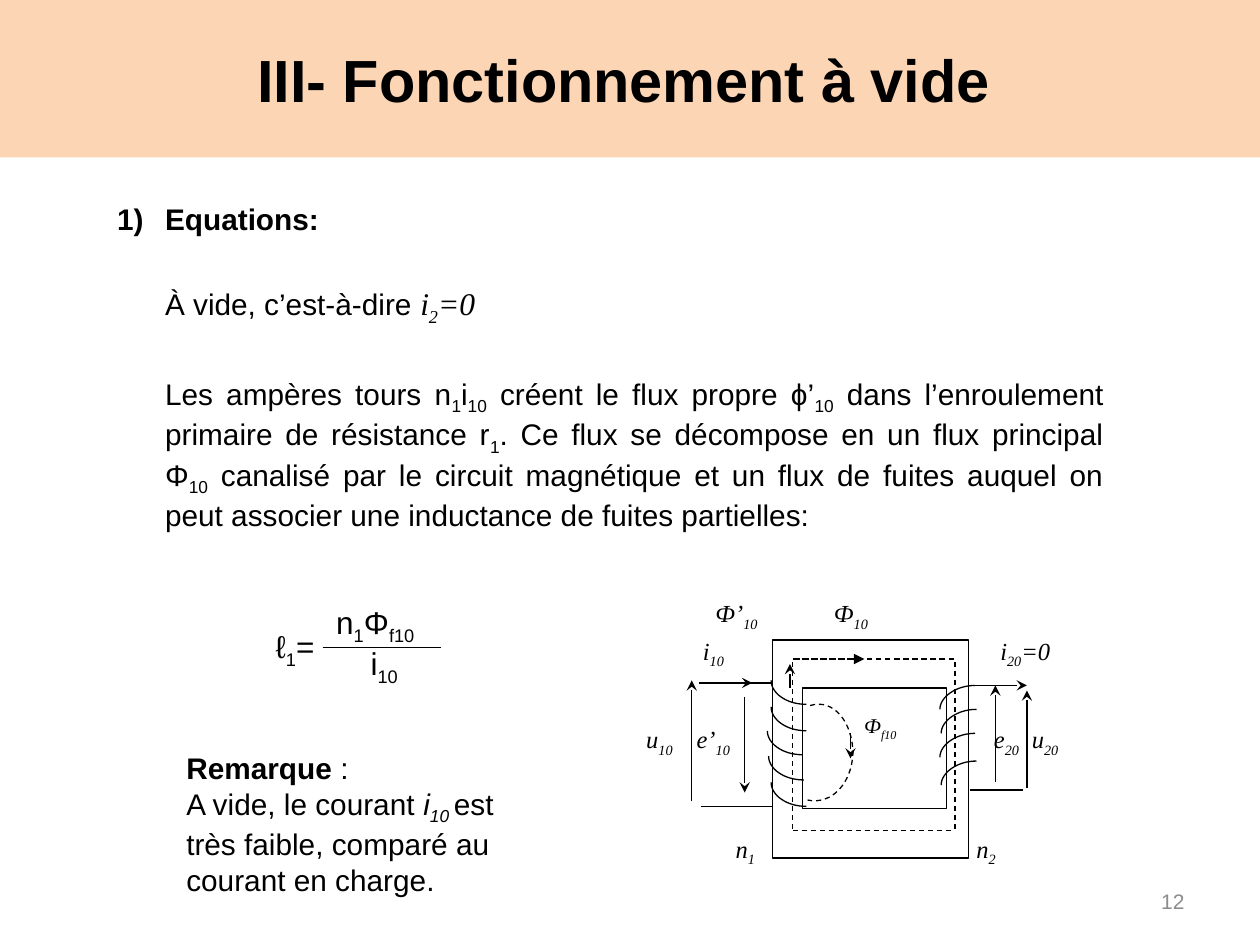
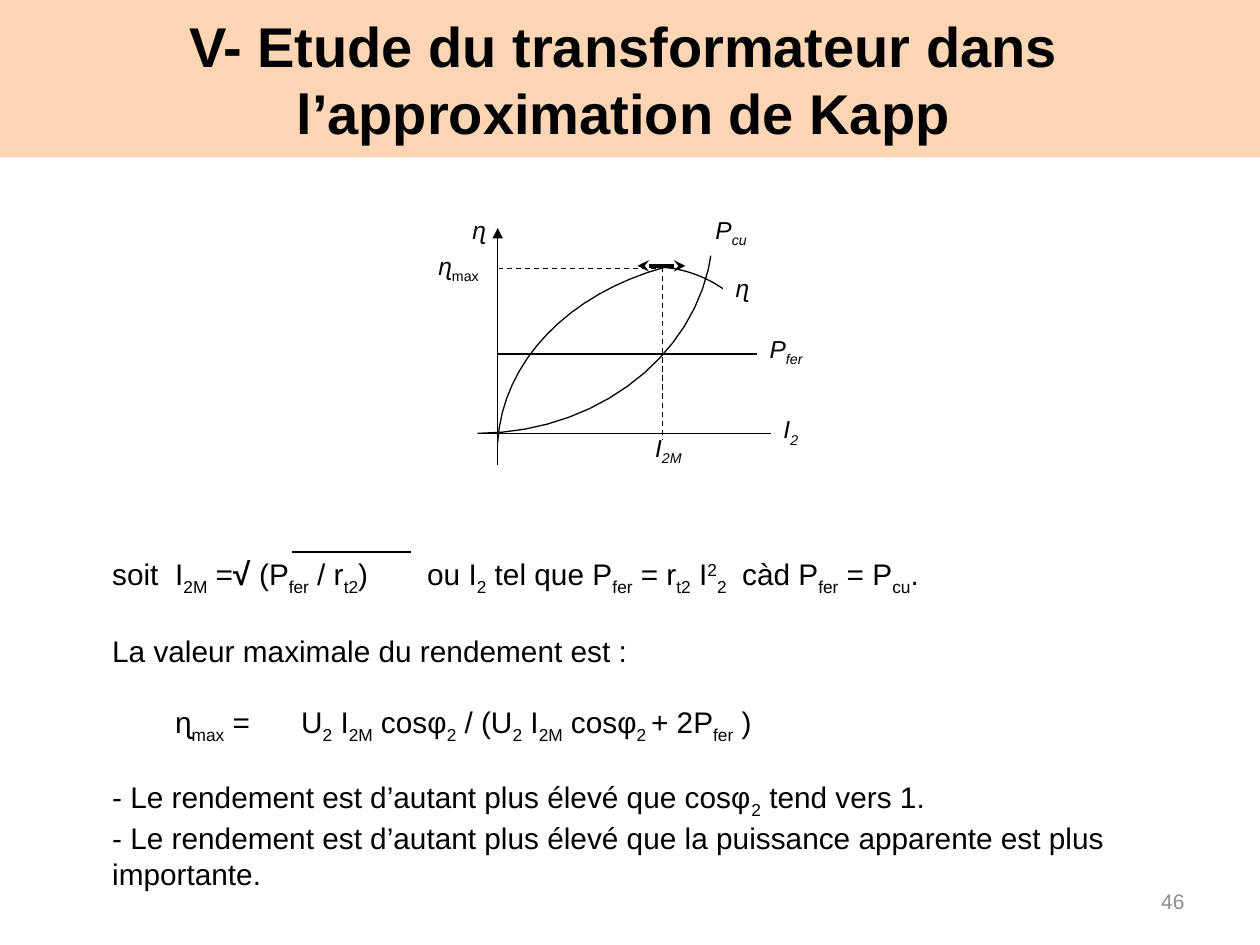
from lxml.etree import SubElement
from pptx import Presentation
from pptx.dml.color import RGBColor
from pptx.enum.dml import MSO_LINE
from pptx.enum.shapes import MSO_CONNECTOR, MSO_SHAPE
from pptx.enum.text import MSO_ANCHOR, MSO_AUTO_SIZE, PP_ALIGN
from pptx.oxml.ns import qn
from pptx.util import Inches, Pt

BLACK = RGBColor(0x00, 0x00, 0x00)
WHITE = RGBColor(0xFF, 0xFF, 0xFF)
PEACH = RGBColor(0xFC, 0xD5, 0xB5)
GREY = RGBColor(0x8C, 0x8C, 0x8C)
SANS, SERIF = "Arial", "Times New Roman"


def write(para, markup, size=17, font=SANS, italic=False):
    """Every second piece between underscores is special: ^superscript, *bold, else subscript."""
    for index, piece in enumerate(markup.split("_")):
        if not piece:
            continue
        span = para.add_run()
        span.text = piece.lstrip("^*") if index % 2 else piece
        span.font.size = Pt(size)
        span.font.name = font
        span.font.italic = italic
        span.font.color.rgb = BLACK
        if index % 2 and piece[0] == "*":
            span.font.bold = True
        elif index % 2:
            baseline = "30000" if piece[0] == "^" else "-25000"
            span.font._element.set("baseline", baseline)


def stroke(page, points, width=0.75, dash=False, head=None, tail=None):
    """Two points give a straight line; four or more give a chain of Bezier curves."""
    if len(points) == 2:
        (x1, y1), (x2, y2) = points
        shape = page.shapes.add_connector(
            MSO_CONNECTOR.STRAIGHT, Inches(x1), Inches(y1), Inches(x2), Inches(y2))
    else:
        steps = 16
        trail = []
        for k in range(0, len(points) - 1, 3):
            a, b, c, d = points[k:k + 4]
            for t in [n / steps for n in range(1, steps + 1)]:
                trail.append(tuple(
                    Inches((1 - t) ** 3 * a[i] + 3 * t * (1 - t) ** 2 * b[i]
                           + 3 * t * t * (1 - t) * c[i] + t ** 3 * d[i]) for i in (0, 1)))
        builder = page.shapes.build_freeform(Inches(points[0][0]), Inches(points[0][1]))
        builder.add_line_segments(trail, close=False)
        shape = builder.convert_to_shape()
        shape.fill.background()
    shape.line.color.rgb = BLACK
    shape.line.width = Pt(width)
    if dash:
        shape.line.dash_style = MSO_LINE.DASH
    properties = shape.element.spPr
    outline = properties.find(qn("a:ln"))
    for tag, kind in (("a:headEnd", head), ("a:tailEnd", tail)):
        if kind:
            SubElement(outline, qn(tag)).set("type", kind)
    SubElement(properties, qn("a:effectLst"))


deck = Presentation()
deck.slide_width, deck.slide_height = Inches(10), Inches(7.5)

# Shared frame: title band, body area, page number
pages, bodies = [], []
for title_text, title_size, number, left, top, width, height in [
    ("III- Fonctionnement à vide", 34, "12", 0.83, 1.54, 8.03, 3),
    ("V- Etude du transformateur dans\vl’approximation de Kapp", 32, "46", 0.79, 4.35, 8.17, 2.9),
]:
    page = deck.slides.add_slide(deck.slide_layouts[1])
    title, body = page.placeholders[0], page.placeholders[1]
    title.left, title.top, title.width, title.height = 0, 0, Inches(10), Inches(1.25)
    title.fill.solid()
    title.fill.fore_color.rgb = PEACH
    title.text_frame.text = title_text
    title.text_frame.auto_size = MSO_AUTO_SIZE.NONE
    title.text_frame.vertical_anchor = MSO_ANCHOR.MIDDLE
    title.text_frame.margin_right = Inches(0.2)
    para = title.text_frame.paragraphs[0]
    para.alignment = PP_ALIGN.CENTER
    for span in para.runs:
        span.font.size, span.font.name, span.font.bold = Pt(title_size), SANS, True
        span.font.color.rgb = BLACK

    body.left, body.top = Inches(left), Inches(top)
    body.width, body.height = Inches(width), Inches(height)
    body.text_frame.auto_size = MSO_AUTO_SIZE.NONE

    box = page.shapes.add_textbox(Inches(7.17), Inches(6.95), Inches(2.33), Inches(0.4))
    box.text_frame.vertical_anchor = MSO_ANCHOR.MIDDLE
    para = box.text_frame.paragraphs[0]
    para.alignment = PP_ALIGN.RIGHT
    write(para, number, 12)
    para.runs[0].font.color.rgb = GREY
    pages.append(page)
    bodies.append(body.text_frame)

no_load, kapp = pages

# Body text: markup, space before, left margin, first-line indent, tab stops
no_load_text = [
    ("_*Equations:_", 0, 0.38, -0.38, []),
    ("À vide, c’est-à-dire i_2_=0", 27.5, 0.38, 0, []),
    ("Les ampères tours n_1_i_10_ créent le flux propre ϕ’_10_ dans l’enroulement primaire de "
     "résistance r_1_. Ce flux se décompose en un flux principal Φ_10_ canalisé par le circuit "
     "magnétique et un flux de fuites auquel on peut associer une inductance de fuites partielles:",
     27.5, 0.38, 0, []),
]
kapp_text = [
    ("soit\tI_2M_ =_*√ _(P_fer_ / r_t2_)\tou I_2_ tel que P_fer_ = r_t2_ I_^2__2_\tcàd P_fer_ = P_cu_.",
     0, 0, 0, [0.83, 2.55, 5.08]),
    ("La valeur maximale du rendement est :", 20.5, 0, 0, []),
    ("\tɳ_max_ =\tU_2_ I_2M_ cosφ_2_ / (U_2_ I_2M_ cosφ_2 _+ 2P_fer_ )", 20.5, 0, 0, [1, 1.73]),
    ("- Le rendement est d’autant plus élevé que cosφ_2_ tend vers 1.", 19.5, 0, 0, []),
    ("- Le rendement est d’autant plus élevé que la puissance apparente est plus importante.",
     0, 0, 0, []),
]
for frame, lines in zip(bodies, (no_load_text, kapp_text)):
    for index, (markup, before, margin, indent, tabs) in enumerate(lines):
        para = frame.add_paragraph() if index else frame.paragraphs[0]
        properties = para._p.get_or_add_pPr()
        properties.set("marL", str(Inches(margin)))
        properties.set("indent", str(Inches(indent)))
        if indent:
            SubElement(properties, qn("a:buFont")).set("typeface", "+mj-lt")
            SubElement(properties, qn("a:buAutoNum")).set("type", "arabicParenR")
        else:
            SubElement(properties, qn("a:buNone"))
        if tabs:
            tab_list = SubElement(properties, qn("a:tabLst"))
            for position in tabs:
                tab = SubElement(tab_list, qn("a:tab"))
                tab.set("pos", str(Inches(position)))
                tab.set("algn", "l")
        para.space_before = Pt(before)
        para.alignment = PP_ALIGN.JUSTIFY if frame is bodies[0] else PP_ALIGN.LEFT
        write(para, markup)

# Serif formula "i2=0" and the larger root sign
span = bodies[0].paragraphs[1].runs[0]
span.text = span.text[:-1]
para = bodies[0].paragraphs[1]
subscript_and_rest = para.runs[1:]
first_letter = para.add_run()
first_letter.text = "i"
subscript_and_rest[0]._r.addprevious(first_letter._r)
for span in para.runs[1:]:
    span.font.size, span.font.name, span.font.italic = Pt(18), SERIF, True
    span.font.color.rgb = BLACK
for span in bodies[1].paragraphs[0].runs:
    if span.font.bold:
        span.font.size = Pt(18)

# Leakage inductance fraction
stroke(no_load, [(2.56, 5.14), (3.5, 5.14)])
for left, top, width, markup, align in [
    (2.57, 4.74, 1.2, "n_1_Φ_f10_", PP_ALIGN.LEFT),
    (2.45, 5.06, 1.2, "i_10_", PP_ALIGN.CENTER),
    (2.09, 4.93, 0.6, "ℓ_1_=", PP_ALIGN.LEFT),
]:
    box = no_load.shapes.add_textbox(Inches(left), Inches(top), Inches(width), Inches(0.4))
    para = box.text_frame.paragraphs[0]
    para.alignment = align
    write(para, markup, 18)

# Remark
box = no_load.shapes.add_textbox(Inches(1.38), Inches(5.9), Inches(2.91), Inches(1.25))
box.text_frame.word_wrap = True
write(box.text_frame.paragraphs[0], "_*Remarque_ :")
para = box.text_frame.add_paragraph()
write(para, "A vide, le courant ")
write(para, "i_10 _", italic=True)
write(para, "est très faible, comparé au courant en charge.")

# Magnetic core
for left, top, width, height in [(6.13, 5.08, 1.56, 1.73), (6.37, 5.46, 1.14, 0.96)]:
    core = no_load.shapes.add_shape(
        MSO_SHAPE.RECTANGLE, Inches(left), Inches(top), Inches(width), Inches(height))
    core.shadow.inherit = False
    core.fill.solid()
    core.fill.fore_color.rgb = WHITE
    core.line.color.rgb = BLACK
    core.line.width = Pt(0.75)

# Coil turns: quarter ellipses on the primary and secondary legs
for x, y in [(6.12, 5.4), (6.12, 5.61), (6.09, 5.8), (6.1, 6), (6.12, 6.21)]:
    stroke(no_load, [(x + 0.28, y + 0.19), (x + 0.12, y + 0.19), (x, y + 0.1), (x, y)])
for x, y in [(7.46, 5.44), (7.47, 5.63), (7.46, 5.82), (7.47, 6.04)]:
    stroke(no_load, [(x + 0.28, y), (x + 0.13, y), (x, y + 0.09), (x, y + 0.19)])

# Leakage flux, main flux path, then wires and arrows
stroke(no_load, [(6.43, 5.6), (6.62, 5.54), (6.77, 5.74), (6.77, 5.98),
                 (6.76, 6.22), (6.6, 6.39), (6.41, 6.35)], dash=True)
for start, end in [((6.29, 5.25), (6.29, 6.59)), ((7.58, 5.25), (7.58, 6.59)),
                   ((6.31, 5.23), (7.58, 5.23)), ((6.29, 6.59), (7.57, 6.59))]:
    stroke(no_load, [start, end], dash=True)
stroke(no_load, [(6.29, 5.23), (6.86, 5.23)], dash=True, tail="triangle")
for start, end in [((6.12, 5.42), (5.55, 5.42)), ((6.13, 6.4), (5.56, 6.4)),
                   ((7.7, 6.27), (8.12, 6.27))]:
    stroke(no_load, [start, end])
for start, end in [((5.49, 6.36), (5.49, 5.4)), ((5.91, 5.53), (5.91, 6.29)),
                   ((5.69, 5.42), (5.97, 5.42)), ((6.75, 5.82), (6.75, 6.02)),
                   ((7.73, 5.44), (8.15, 5.44)), ((7.9, 6.21), (7.9, 5.44)),
                   ((8.15, 6.25), (8.15, 5.48)), ((6.27, 5.46), (6.27, 5.27))]:
    stroke(no_load, [start, end], tail="stealth")

# Efficiency chart: axes, iron and copper losses, efficiency, guides
stroke(kapp, [(3.95, 3.69), (3.95, 1.81)], tail="triangle")
stroke(kapp, [(3.79, 3.44), (6.12, 3.44)])
stroke(kapp, [(3.95, 2.81), (6.01, 2.81)])
stroke(kapp, [(3.79, 3.44), (4.82, 3.44), (5.66, 2.71), (5.66, 1.81)])
stroke(kapp, [(3.95, 3.51), (3.99, 2.87), (4.51, 2.33), (5.28, 2.12)])
stroke(kapp, [(5.23, 2.12), (5.47, 2.13), (5.69, 2.23), (5.86, 2.39)])
stroke(kapp, [(5.26, 2.12), (5.26, 3.49)], dash=True)
stroke(kapp, [(5.21, 2.13), (3.96, 2.13)], dash=True)
stroke(kapp, [(5.06, 2.11), (5.44, 2.11)], width=2.25, head="stealth", tail="stealth")
stroke(kapp, [(2.32, 4.38), (3.26, 4.38)])  # bar of the square root

# Labels of both diagrams: left, top, markup, size, white ground
no_load_labels = [
    (5.58, 4.7, "Ф’_10_", 14, False), (6.52, 4.7, "Ф_10_", 14, False),
    (5.48, 5, "i_10_", 14, False), (7.84, 5, "i_20_=0", 14, False),
    (5.03, 5.7, "u_10_", 14, False), (5.43, 5.7, "e’_10_", 14, False),
    (7.79, 5.7, "e_20_", 14, False), (8.09, 5.7, "u_20_", 14, False),
    (5.74, 6.57, "n_1_", 14, False), (7.65, 6.57, "n_2_", 14, False),
    (6.76, 5.61, "Ф_f10_", 12, False),
]
kapp_labels = [
    (5.58, 1.66, "P_cu_", 14, True), (5.74, 2.12, "ɳ", 14, True),
    (6.01, 2.6, "P_fer_", 14, True), (6.12, 3.24, "I_2_", 14, True),
    (5.1, 3.39, "I_2M_", 14, False), (3.65, 1.66, "ɳ", 14, False),
    (3.38, 1.94, "ɳ_max_", 14, False),
]
for page, labels, font in [(no_load, no_load_labels, SERIF), (kapp, kapp_labels, SANS)]:
    for left, top, markup, size, white in labels:
        box = page.shapes.add_textbox(
            Inches(left), Inches(top), Inches(0.5 if white else 0.89), Inches(0.37))
        box.text_frame.word_wrap = True
        if white:
            box.fill.solid()
            box.fill.fore_color.rgb = WHITE
        para = box.text_frame.paragraphs[0]
        write(para, markup, size, font, italic=True)
        if markup == "ɳ_max_":
            para.runs[1].font.italic = False

deck.save("out.pptx")
